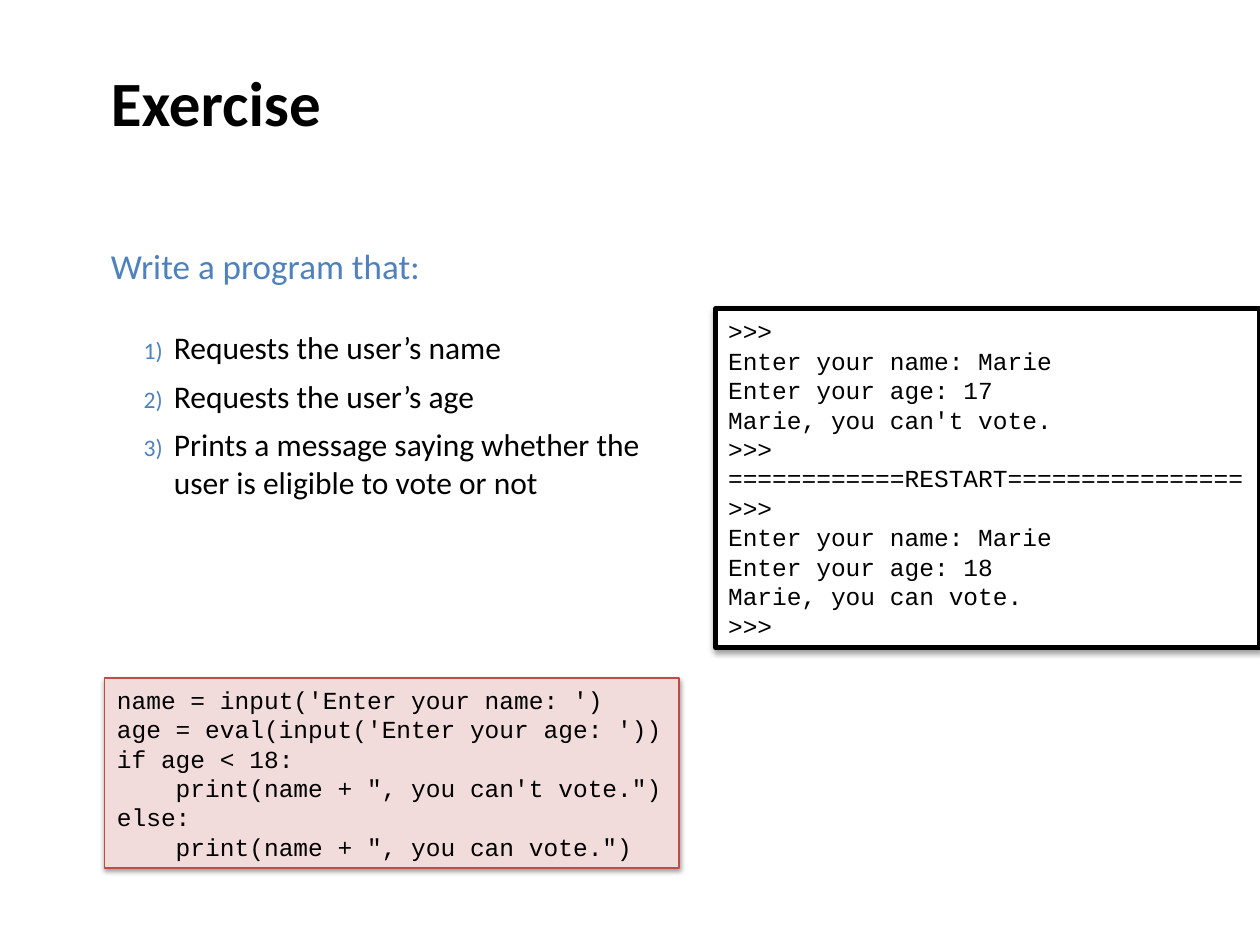
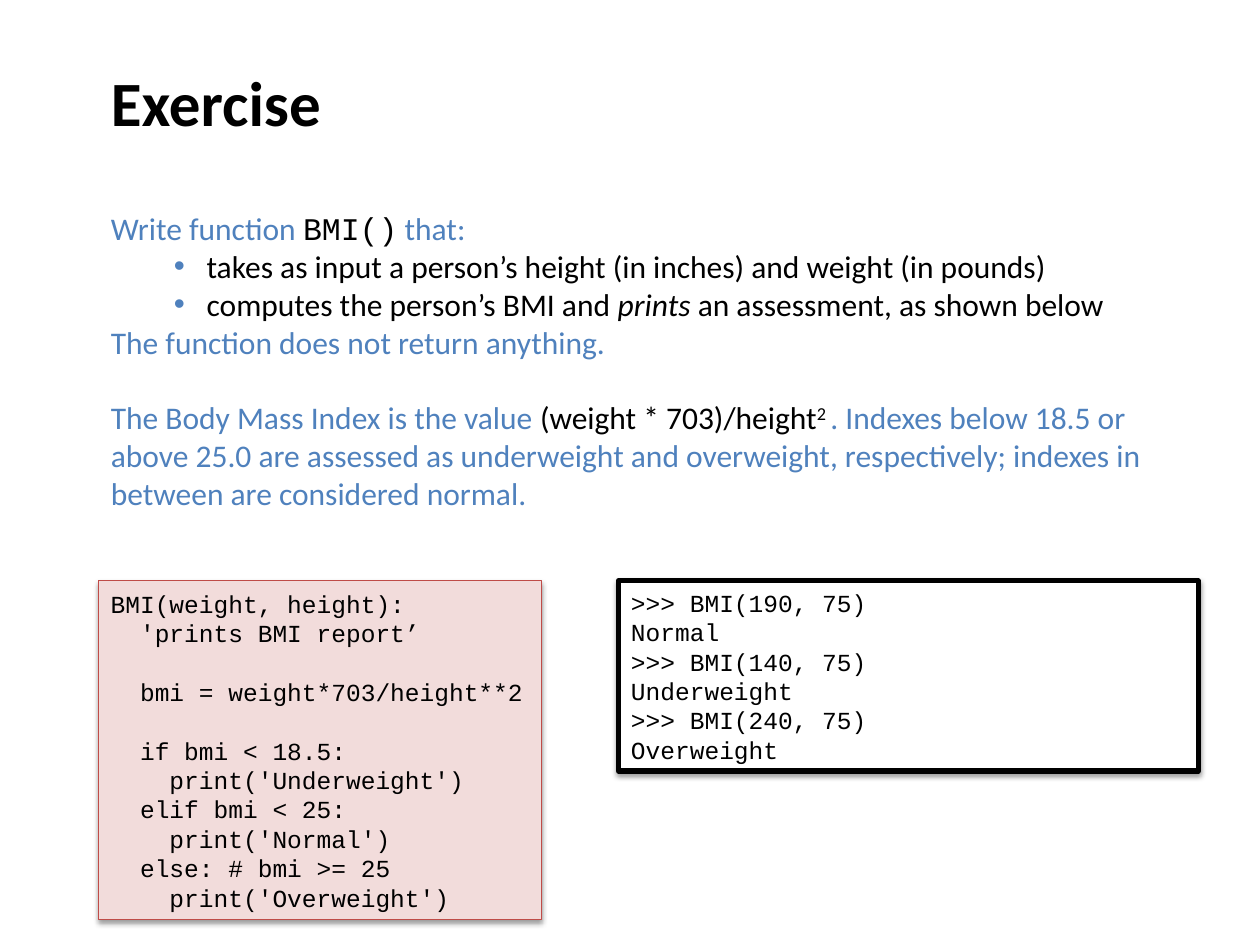
"""Build two programming exercise slides with code and console boxes."""
from dataclasses import dataclass
from typing import NamedTuple

import lxml.etree
import pptx
import pptx.dml.color
import pptx.enum.shapes
import pptx.enum.text
import pptx.oxml
import pptx.oxml.ns
import pptx.util

BLACK = pptx.dml.color.RGBColor(0x00, 0x00, 0x00)
WHITE = pptx.dml.color.RGBColor(0xFF, 0xFF, 0xFF)
BLUE = pptx.dml.color.RGBColor(0x4F, 0x81, 0xBD)
PINK = pptx.dml.color.RGBColor(0xF2, 0xDC, 0xDB)
RED = pptx.dml.color.RGBColor(0xBF, 0x4C, 0x48)

TEXT_FONT = "Calibri"
CODE_FONT = "Courier New"
CODE_SIZE = 14
LINE_FACTOR = 1.2
COLUMNS, ROWS = 100, 75
NUMBER, DOT = "number", "dot"
MARKERS = {
    NUMBER: [("buSzPct", {"val": "75000"}), ("buFont", {"typeface": "+mj-lt"}),
             ("buAutoNum", {"type": "arabicParenR"})],
    DOT: [("buFont", {"typeface": "Arial"}), ("buChar", {"char": "•"})],
}


class Area(NamedTuple):
    """Left, top, width and height in grid columns and rows."""
    left: float
    top: float
    width: float
    height: float


class BoxStyle(NamedTuple):
    """Fill and outline of a code box."""
    fill: pptx.dml.color.RGBColor
    line: pptx.dml.color.RGBColor
    weight: float


@dataclass
class Span:
    """A stretch of text in one format."""
    text: str
    color: pptx.dml.color.RGBColor = BLACK
    size: float = 18
    font: str = TEXT_FONT
    bold: bool = False
    italic: bool = False
    raised: bool = False


@dataclass
class Para:
    """A paragraph with its indents in inches and spacing in points."""
    spans: list[Span]
    margin: float = 0.5
    hanging: float = 0.5
    before: float = 0
    after: float = 0
    level: int = 0
    marker: str = ""


@dataclass
class CodeBox:
    """A framed listing."""
    area: Area
    style: BoxStyle
    code: str


@dataclass
class Exercise:
    """The content of one slide."""
    body_area: Area
    anchor: pptx.enum.text.MSO_ANCHOR
    paras: list[Para]
    boxes: list[CodeBox]


SOLUTION = BoxStyle(PINK, RED, 0.75)
CONSOLE = BoxStyle(WHITE, BLACK, 3)
TITLE_AREA = Area(7.8, 0, 85, 16.1)


def place(shape, area: Area, deck) -> None:
    """Move a shape to its grid area."""
    column, row = deck.slide_width / COLUMNS, deck.slide_height / ROWS
    shape.left, shape.top = round(area.left * column), round(area.top * row)
    shape.width, shape.height = round(area.width * column), round(area.height * row)


def add_child(parent, tag: str, attributes: dict[str, str]):
    """Append a drawing element."""
    return lxml.etree.SubElement(parent, pptx.oxml.ns.qn("a:" + tag), attributes)


def write_para(target, para: Para) -> None:
    """Format a paragraph and add its runs."""
    target.level = para.level
    target.alignment = pptx.enum.text.PP_ALIGN.LEFT
    target.space_before = pptx.util.Pt(para.before)
    target.space_after = pptx.util.Pt(para.after)
    properties = target._p.get_or_add_pPr()
    properties.set("marL", str(pptx.util.Inches(para.margin)))
    properties.set("indent", str(-pptx.util.Inches(para.hanging)))
    if para.marker:
        add_child(add_child(properties, "buClr", {}), "srgbClr", {"val": str(BLUE)})
    for tag, attributes in MARKERS.get(para.marker, [("buNone", {})]):
        add_child(properties, tag, attributes)
    for span in para.spans:
        run = target.add_run()
        run.text = span.text
        run.font.name = span.font
        run.font.size = pptx.util.Pt(span.size)
        run.font.color.rgb = span.color
        run.font.bold = span.bold
        run.font.italic = span.italic
        if span.raised:
            run._r.get_or_add_rPr().set("baseline", "30000")


def write_text(shape, paras: list[Para], anchor, auto_size) -> None:
    """Fill a shape with paragraphs."""
    frame = shape.text_frame
    frame.word_wrap = True
    frame.auto_size = auto_size
    frame.vertical_anchor = anchor
    for index, para in enumerate(paras):
        write_para(frame.add_paragraph() if index else frame.paragraphs[0], para)


def code_paras(code: str) -> list[Para]:
    """Turn a listing into paragraphs, with blank lines as spacing."""
    paras, gap = [], 0
    for line in code.strip("\n").split("\n"):
        if line:
            span = Span(line, size=CODE_SIZE, font=CODE_FONT)
            paras.append(Para([span], margin=0, hanging=0, before=gap))
            gap = 0
        else:
            gap += CODE_SIZE * LINE_FACTOR
    return paras


def add_code_box(slide, box: CodeBox, deck) -> None:
    """Draw a framed listing with a soft shadow."""
    shape = slide.shapes.add_shape(pptx.enum.shapes.MSO_SHAPE.RECTANGLE, 0, 0, 0, 0)
    place(shape, box.area, deck)
    shape.fill.solid()
    shape.fill.fore_color.rgb = box.style.fill
    shape.line.color.rgb = box.style.line
    shape.line.width = pptx.util.Pt(box.style.weight)
    shape.shadow.inherit = False
    effects = shape._element.spPr.find(pptx.oxml.ns.qn("a:effectLst"))
    shadow = add_child(effects, "outerShdw", {
        "blurRad": str(pptx.util.Pt(3.1)), "dist": str(pptx.util.Pt(1.6)),
        "dir": "5400000", "rotWithShape": "0"})
    color = add_child(shadow, "srgbClr", {"val": str(BLACK)})
    add_child(color, "alpha", {"val": "38000"})
    write_text(shape, code_paras(box.code), pptx.enum.text.MSO_ANCHOR.MIDDLE,
               pptx.enum.text.MSO_AUTO_SIZE.SHAPE_TO_FIT_TEXT)


def add_exercise(deck, exercise: Exercise) -> None:
    """Add one exercise slide."""
    slide = deck.slides.add_slide(deck.slide_layouts[1])
    title, body = slide.shapes.title, slide.placeholders[1]
    place(title, TITLE_AREA, deck)
    heading = Para([Span("Exercise", size=36, bold=True)], margin=0, hanging=0)
    write_text(title, [heading], pptx.enum.text.MSO_ANCHOR.MIDDLE,
               pptx.enum.text.MSO_AUTO_SIZE.NONE)
    place(body, exercise.body_area, deck)
    write_text(body, exercise.paras, exercise.anchor,
               pptx.enum.text.MSO_AUTO_SIZE.SHAPE_TO_FIT_TEXT)
    for box in exercise.boxes:
        add_code_box(slide, box, deck)


def numbered(text: str) -> Para:
    """Make a numbered step."""
    return Para([Span(text)], hanging=0.24, after=6, marker=NUMBER)


def bulleted(*spans: Span) -> Para:
    """Make a second-level bullet."""
    return Para(list(spans), margin=0.76, hanging=0.26, level=1, marker=DOT)


VOTING_CODE = """
name = input('Enter your name: ')
age = eval(input('Enter your age: '))
if age < 18:
    print(name + ", you can't vote.")
else:
    print(name + ", you can vote.")
"""
VOTING_SESSION = """
>>> 
Enter your name: Marie
Enter your age: 17
Marie, you can't vote.
>>> ============RESTART================
>>> 
Enter your name: Marie
Enter your age: 18
Marie, you can vote.
>>> 
"""
BMI_CODE = """
BMI(weight, height):
  'prints BMI report’

  bmi = weight*703/height**2

  if bmi < 18.5:
    print('Underweight')
  elif bmi < 25:
    print('Normal')
  else: # bmi >= 25
    print('Overweight')
"""
BMI_SESSION = """
>>> BMI(190, 75)
Normal
>>> BMI(140, 75)
Underweight
>>> BMI(240, 75)
Overweight
"""

VOTING = Exercise(
    Area(7.8, 18.8, 44.9, 21.5), pptx.enum.text.MSO_ANCHOR.MIDDLE,
    [Para([Span("Write a program that:", BLUE, 20)], after=20 * LINE_FACTOR),
     numbered("Requests the user’s name"),
     numbered("Requests the user’s age"),
     numbered("Prints a message saying whether the user is eligible to vote or not")],
    [CodeBox(Area(8.3, 53.8, 45.6, 15.1), SOLUTION, VOTING_CODE),
     CodeBox(Area(56.8, 24.5, 43.2, 26.9), CONSOLE, VOTING_SESSION)])

BODY_MASS = Exercise(
    Area(7.8, 16.1, 85, 25.2), pptx.enum.text.MSO_ANCHOR.TOP,
    [Para([Span("Write function ", BLUE), Span("BMI()", font=CODE_FONT),
           Span(" that:", BLUE)]),
     bulleted(Span("takes as input a person’s height (in inches) and weight (in pounds)")),
     bulleted(Span("computes the person’s BMI and "), Span("prints", italic=True),
              Span(" an assessment, as shown below")),
     Para([Span("The function does not return anything.", BLUE)], after=18 * LINE_FACTOR),
     Para([Span("The Body Mass Index is the value ", BLUE),
           Span("(weight * 703)/height"), Span("2 ", raised=True),
           Span(". Indexes below 18.5 or above 25.0 are assessed as underweight and "
                "overweight, respectively; indexes in between are considered normal. ", BLUE)],
          margin=0, hanging=0)],
    [CodeBox(Area(49.1, 46.1, 46, 15.1), CONSOLE, BMI_SESSION),
     CodeBox(Area(7.8, 46.1, 35.2, 26.9), SOLUTION, BMI_CODE)])


def main() -> None:
    """Build and save the deck."""
    deck = pptx.Presentation()
    deck.slide_width = pptx.util.Inches(10)
    deck.slide_height = pptx.util.Inches(7.5)
    for exercise in (VOTING, BODY_MASS):
        add_exercise(deck, exercise)
    deck.save("out.pptx")


main()
